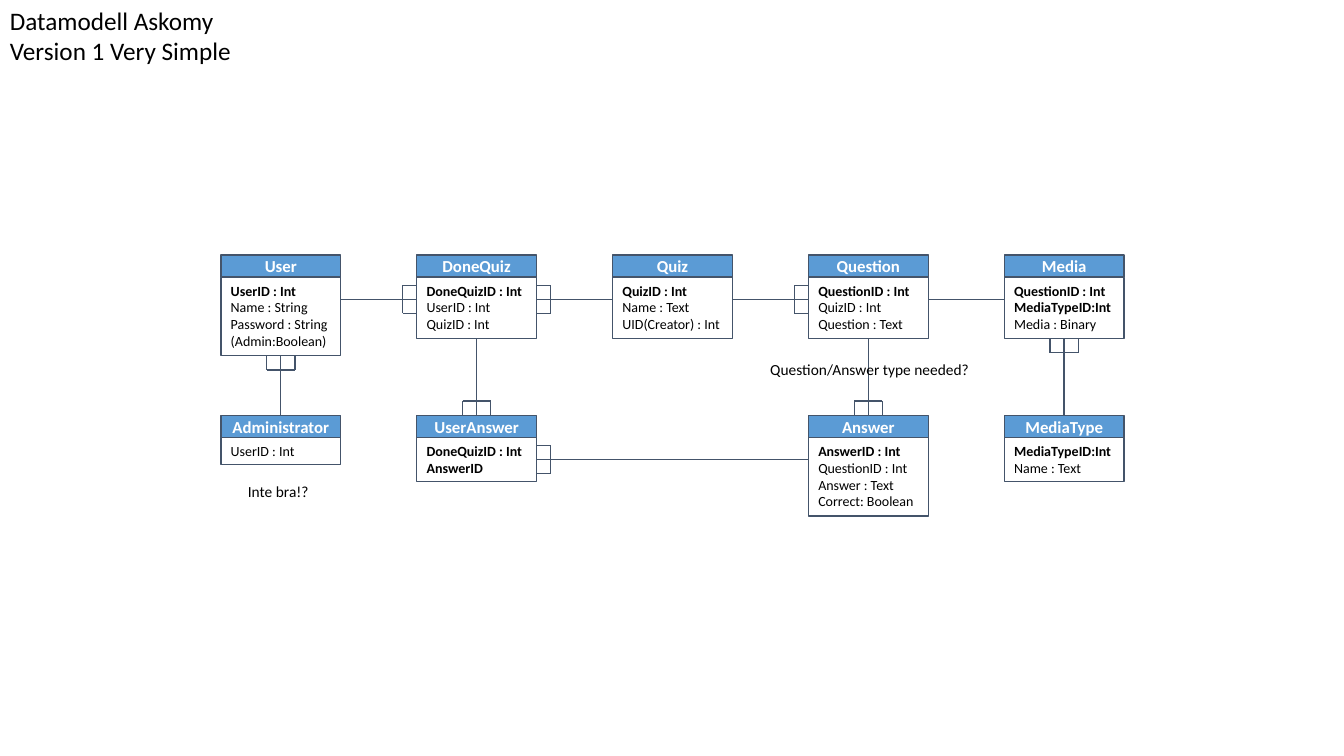
"""Build the quiz data model slide: entity boxes joined by one-to-many links."""
from lxml.etree import SubElement
from pptx import Presentation
from pptx.dml.color import RGBColor
from pptx.enum.shapes import MSO_CONNECTOR, MSO_SHAPE
from pptx.enum.text import MSO_ANCHOR, PP_ALIGN
from pptx.oxml.ns import qn
from pptx.util import Inches, Pt

FONT, BLUE, NAVY, BLACK, WHITE = "Calibri", "5B9BD5", "44546A", "000000", "FFFFFF"

# name: (column, row, key fields, other fields)
ENTITIES = {
    "User": (0, 0, ["UserID : Int"], ["Name : String", "Password : String", "(Admin:Boolean)"]),
    "DoneQuiz": (1, 0, ["DoneQuizID : Int"], ["UserID : Int", "QuizID : Int"]),
    "Quiz": (2, 0, ["QuizID : Int"], ["Name : Text", "UID(Creator) : Int"]),
    "Question": (3, 0, ["QuestionID : Int"], ["QuizID : Int", "Question : Text"]),
    "Media": (4, 0, ["QuestionID : Int", "MediaTypeID:Int"], ["Media : Binary"]),
    "Administrator": (0, 1, [], ["UserID : Int"]),
    "UserAnswer": (1, 1, ["DoneQuizID : Int", "AnswerID"], []),
    "Answer": (3, 1, ["AnswerID : Int"], ["QuestionID : Int", "Answer : Text", "Correct: Boolean"]),
    "MediaType": (4, 1, ["MediaTypeID:Int"], ["Name : Text"]),
}

# start, end, entity on the "many" side
LINKS = [
    ("User", "DoneQuiz", "DoneQuiz"),
    ("DoneQuiz", "Quiz", "DoneQuiz"),
    ("Quiz", "Question", "Question"),
    ("Question", "Media", None),
    ("UserAnswer", "Answer", "UserAnswer"),
    ("User", "Administrator", "User"),
    ("DoneQuiz", "UserAnswer", "UserAnswer"),
    ("Question", "Answer", "Answer"),
    ("Media", "MediaType", "Media"),
]

# text, left, top, width, height, size
LABELS = [
    ("Datamodell Askomy Version 1 Very Simple", 0, 0, 2.51, 0.71, 18),
    ("Question/Answer type needed?", 7.54, 3.52, 2.62, 0.29, 11),
    ("Inte bra!?", 2.36, 4.73, 0.83, 0.29, 11),
]

FIRST_LEFT, LAST_LEFT, LAST_COLUMN = 2.19, 9.96, 4
ROW_TOPS = (2.53, 4.12)
BOX_WIDTH, HEADER_HEIGHT = 1.19, 0.22
LINE_HEIGHT, BODY_PADDING = 0.17, 0.1
LINK_DROP, FOOT_DEPTH, FOOT_HALF = 0.44, 0.14, 0.14


def color(value):
    return RGBColor.from_string(value)


def add_text(paragraph, text, size, text_color=BLACK, bold=False):
    run = paragraph.add_run()
    run.text = text
    run.font.name, run.font.size, run.font.bold = FONT, Pt(size), bold
    run.font.color.rgb = color(text_color)


def add_box(left, top, height, fill=None):
    shape = slide.shapes.add_shape(
        MSO_SHAPE.RECTANGLE, Inches(left), Inches(top), Inches(BOX_WIDTH), Inches(height))
    shape.shadow.inherit = False
    if fill:
        shape.fill.solid()
        shape.fill.fore_color.rgb = color(fill)
    else:
        shape.fill.background()
    shape.line.color.rgb = color(NAVY)
    shape.line.width = Pt(1)
    shape.text_frame.word_wrap = True
    return shape


def bounds(name):
    column, row, keys, others = ENTITIES[name]
    left = FIRST_LEFT + column * (LAST_LEFT - FIRST_LEFT) / LAST_COLUMN
    body_height = BODY_PADDING + LINE_HEIGHT * len(keys + others)
    return left, ROW_TOPS[row], body_height


def add_entity(name):
    left, top, body_height = bounds(name)
    keys, others = ENTITIES[name][2:]
    header = add_box(left, top, HEADER_HEIGHT, BLUE).text_frame
    header.vertical_anchor = MSO_ANCHOR.MIDDLE
    header.margin_top = header.margin_bottom = 0
    header.paragraphs[0].alignment = PP_ALIGN.CENTER
    add_text(header.paragraphs[0], name, 12, WHITE, True)
    body = add_box(left, top + HEADER_HEIGHT, body_height).text_frame
    body.vertical_anchor = MSO_ANCHOR.TOP
    body.margin_right = Inches(0.05)
    for index, field in enumerate(keys + others):
        paragraph = body.add_paragraph() if index else body.paragraphs[0]
        paragraph.alignment = PP_ALIGN.LEFT
        add_text(paragraph, field, 10, bold=index < len(keys))


def add_line(start, end):
    connector = slide.shapes.add_connector(
        MSO_CONNECTOR.STRAIGHT, *[Inches(value) for value in (*start, *end)])
    connector.line.color.rgb = color(NAVY)
    connector.line.width = Pt(1)
    SubElement(connector._element.spPr, qn("a:effectLst"))


def add_link(start_name, end_name, many):
    left, top, body_height = bounds(start_name)
    end_left, end_top, _ = bounds(end_name)
    horizontal = top == end_top
    if horizontal:
        near, far, across = left + BOX_WIDTH, end_left, top + LINK_DROP
    else:
        near, far, across = top + HEADER_HEIGHT + body_height, end_top, left + BOX_WIDTH / 2

    def point(along, offset=0):
        return (along, across + offset) if horizontal else (across + offset, along)

    add_line(point(near), point(far))
    if many:
        edge, bar = (near, near + FOOT_DEPTH) if many == start_name else (far, far - FOOT_DEPTH)
        add_line(point(bar, -FOOT_HALF), point(bar, FOOT_HALF))
        for offset in (-FOOT_HALF, FOOT_HALF):
            add_line(point(bar, offset), point(edge, offset))


def add_label(text, left, top, width, height, size):
    shape = slide.shapes.add_textbox(Inches(left), Inches(top), Inches(width), Inches(height))
    shape.text_frame.word_wrap = True
    add_text(shape.text_frame.paragraphs[0], text, size)


presentation = Presentation()
presentation.slide_width, presentation.slide_height = Inches(13.33), Inches(7.5)
slide = presentation.slides.add_slide(presentation.slide_layouts[6])
for entity in ENTITIES:
    add_entity(entity)
for link in LINKS:
    add_link(*link)
for label in LABELS:
    add_label(*label)
presentation.save("out.pptx")
